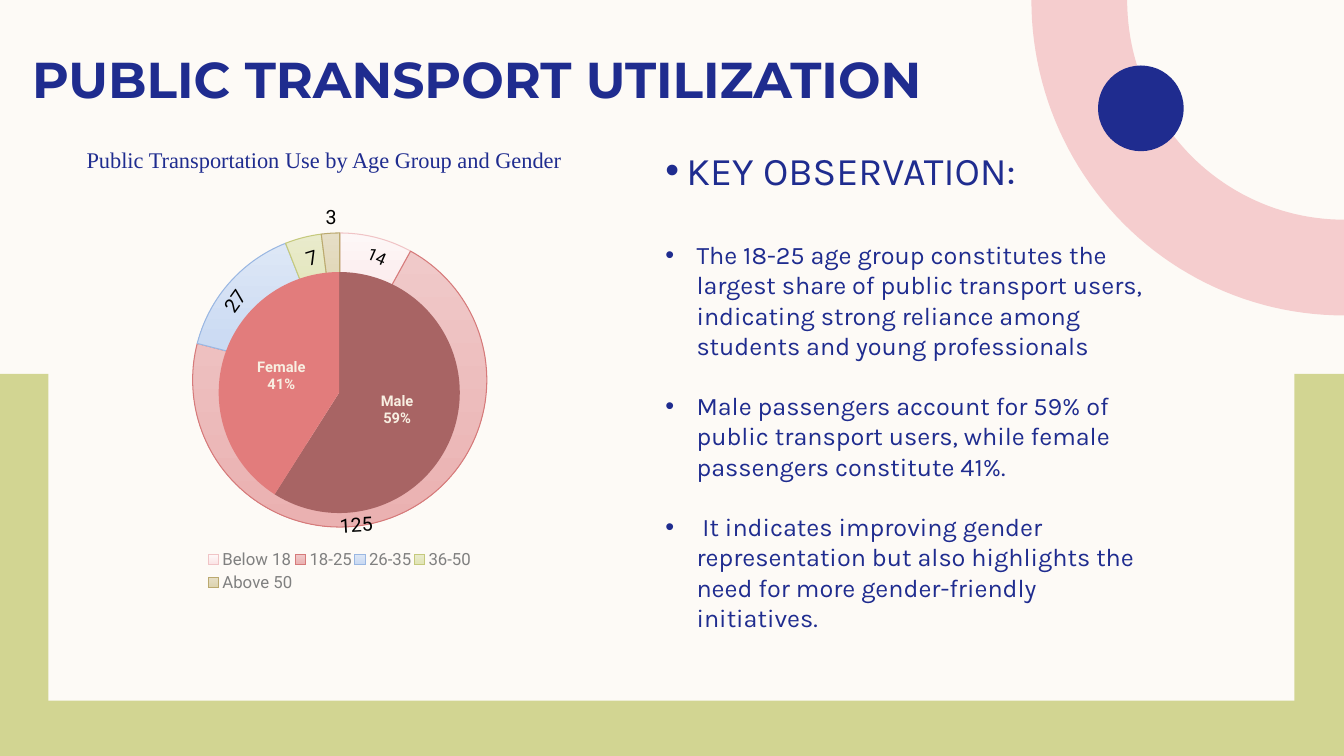
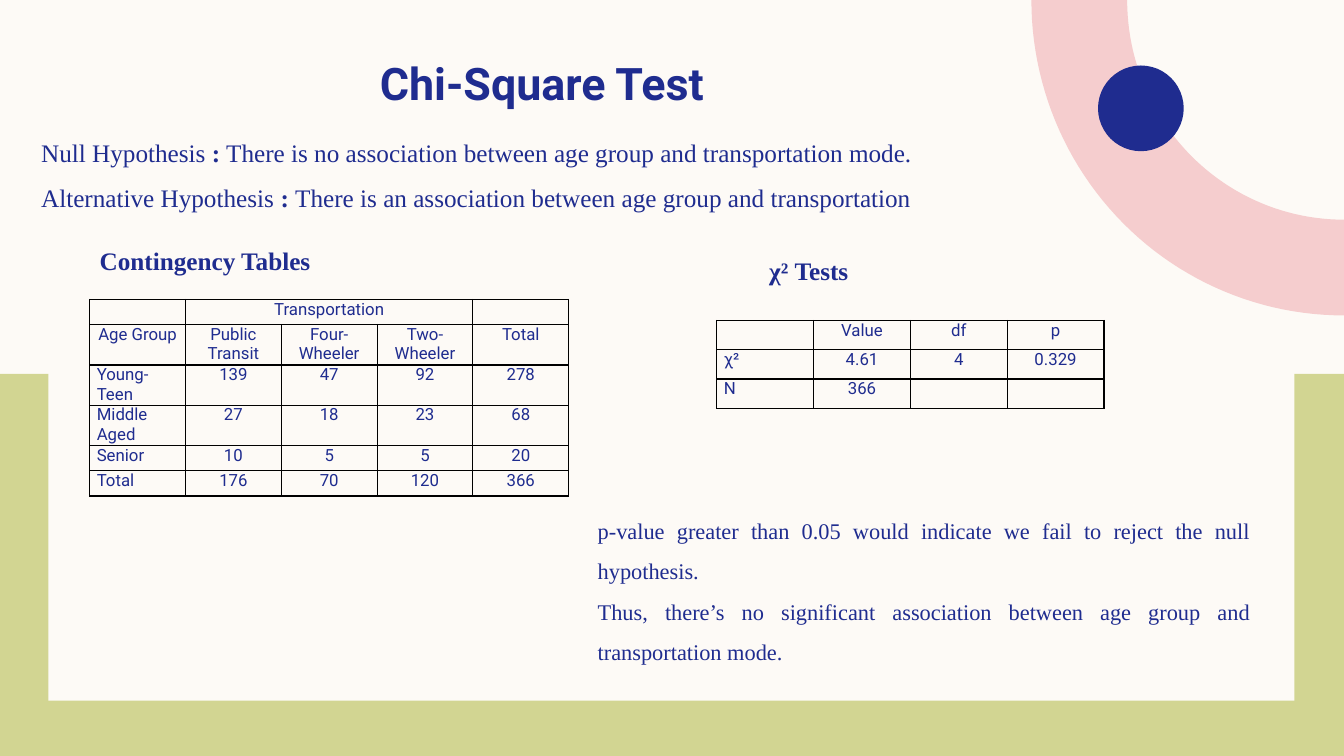
import math
from dataclasses import dataclass, field

import lxml.etree
import pptx
import pptx.chart.data
import pptx.dml.color
import pptx.enum.chart
import pptx.enum.shapes
import pptx.enum.text
import pptx.oxml
import pptx.oxml.ns
import pptx.util

Inches, Pt, qn = pptx.util.Inches, pptx.util.Pt, pptx.oxml.ns.qn
ALIGN = pptx.enum.text.PP_ALIGN
ANCHOR = pptx.enum.text.MSO_ANCHOR
SHAPE = pptx.enum.shapes.MSO_SHAPE
CHART = pptx.enum.chart.XL_CHART_TYPE

COLORS = {
    "paper": "FDFAF6", "olive": "D2D592", "pink": "F5CDCE", "navy": "1F2C8F",
    "black": "000000", "grey": "808080", "cream": "F8EFE2",
    "male": "A86464", "female": "E27C7C",
}
# Age group slices: gradient top, gradient bottom, outline
AGE_SLICES = [
    ("FDF7F7", "FBE5E6", "F0C4C6"), ("F0C9C9", "EAB1B1", "D67A7A"),
    ("DDE7F6", "C8D8F2", "9AB7E2"), ("E9EBCC", "E1E4B5", "C5C97C"),
    ("E6DEC6", "DDD3AE", "BBA96F"),
]
SERIF, SANS, BODY = "Times New Roman", "Roboto", "Karla"
WIDTH, HEIGHT = 13.33, 7.5


@dataclass
class Para:
    runs: list[tuple[str, bool]]          # text, bold
    size: float = 18
    font: str = SERIF
    color: str = "navy"
    bullet: float = 0                     # hanging indent in inches
    fmt: dict = field(default_factory=dict)


@dataclass
class Label:
    text: str
    left: float
    top: float
    width: float = 0.75
    height: float = 0.34
    rotation: float = 0
    size: float = 14


@dataclass
class Grid:
    left: float
    top: float
    col_width: float
    row_heights: list[float]
    rows: list[list[str]]
    header_rows: int = 1


def rgb(value: str) -> pptx.dml.color.RGBColor:
    return pptx.dml.color.RGBColor.from_string(COLORS.get(value, value))


def apply(target, values: dict) -> None:
    for name, value in values.items():
        setattr(target, name, value)


def style_font(font, size: float, name: str, color: str, bold: bool = False) -> None:
    apply(font, {"size": Pt(size), "name": name, "bold": bold})
    font.color.rgb = rgb(color)


def paint(sp, color: str) -> None:
    sp.shadow.inherit = False
    sp.fill.solid()
    sp.fill.fore_color.rgb = rgb(color)
    sp.line.fill.background()


def add_box(s, kind, left: float, top: float, width: float, height: float, color: str) -> None:
    paint(s.shapes.add_shape(kind, *map(Inches, (left, top, width, height))), color)


def add_text(s, left: float, top: float, width: float, height: float,
             paras: list[Para], wrap: bool = True, rotation: float = 0, **frame) -> None:
    sp = s.shapes.add_textbox(*map(Inches, (left, top, width, height)))
    sp.rotation = rotation
    tf = sp.text_frame
    apply(tf, {"word_wrap": wrap, **frame})
    for i, para in enumerate(paras):
        p = tf.add_paragraph() if i else tf.paragraphs[0]
        apply(p, para.fmt)
        if para.bullet:
            pr = p._p.get_or_add_pPr()
            pr.set("marL", str(Inches(para.bullet)))
            pr.set("indent", str(-Inches(para.bullet)))
            lxml.etree.SubElement(pr, qn("a:buFont")).set("typeface", "Arial")
            lxml.etree.SubElement(pr, qn("a:buChar")).set("char", "•")
        for text, bold in para.runs:
            r = p.add_run()
            r.text = text
            style_font(r.font, para.size, para.font, para.color, bold)


def add_slide(prs):
    """New slide with the paper, olive frame, pink ring and navy dot."""
    s = prs.slides.add_slide(prs.slide_layouts[6])
    s.background.fill.solid()
    s.background.fill.fore_color.rgb = rgb("paper")
    add_box(s, SHAPE.RECTANGLE, 0, 3.71, WIDTH, HEIGHT - 3.71, "olive")
    add_box(s, SHAPE.RECTANGLE, 0.48, 0.36, 12.36, 6.59, "paper")

    # Quarter ring around the top right corner
    steps = 48
    turns = [math.pi / 2 * i / steps for i in range(steps + 1)]
    arcs = [[(Inches(WIDTH - rx * math.cos(t)), Inches(ry * math.sin(t))) for t in turns]
            for rx, ry in ((3.1, 3.13), (2.15, 2.18))]
    points = arcs[0] + arcs[1][::-1]
    outline = s.shapes.build_freeform(*points[0])
    outline.add_line_segments(points[1:], close=True)
    paint(outline.convert_to_shape(), "pink")
    add_box(s, SHAPE.OVAL, 10.89, 0.65, 0.85, 0.85, "navy")
    return s


def set_layout(parent, index: int, inner: bool, x: float, y: float, w: float, h: float) -> None:
    """Fix the place of a plot area or legend, in fractions of the chart."""
    for old in parent.findall(qn("c:layout")):
        parent.remove(old)
    layout = lxml.etree.Element(qn("c:layout"))
    manual = lxml.etree.SubElement(layout, qn("c:manualLayout"))
    values = {"layoutTarget": "inner"} if inner else {}
    values |= {"xMode": "edge", "yMode": "edge", "x": x, "y": y, "w": w, "h": h}
    for name, value in values.items():
        lxml.etree.SubElement(manual, qn(f"c:{name}")).set("val", str(value))
    parent.insert(index, layout)


def add_round_chart(s, kind, box: tuple, plot_box: tuple, shares: dict):
    data = pptx.chart.data.CategoryChartData()
    data.categories = list(shares)
    data.add_series("Series 1", list(shares.values()))
    chart = s.shapes.add_chart(kind, *map(Inches, box), data).chart
    apply(chart, {"has_title": False, "has_legend": False})
    style_font(chart.font, 10, SANS, "black")
    chart.plots[0].vary_by_categories = True
    root = chart._chartSpace.find(qn("c:chart"))
    set_layout(root.find(qn("c:plotArea")), 0, True, *plot_box)
    clear = lxml.etree.Element(qn("c:spPr"))
    lxml.etree.SubElement(clear, qn("a:noFill"))
    lxml.etree.SubElement(lxml.etree.SubElement(clear, qn("a:ln")), qn("a:noFill"))
    root.addnext(clear)
    return chart


def add_age_chart(s) -> None:
    shares = {"Below 18": 8, "18-25": 71, "26-35": 15, "36-50": 4, "Above 50": 2}
    chart = add_round_chart(s, CHART.DOUGHNUT, (0.99, 2.16, 4.76, 3.79),
                            (0.19, 0.04, 0.62, 0.77), shares)
    chart._chartSpace.find(".//" + qn("c:holeSize")).set("val", "75")
    for i, (top, bottom, edge) in enumerate(AGE_SLICES):
        fmt = chart.plots[0].series[0].points[i].format
        fmt.fill.gradient()
        fmt.fill.gradient_angle = 270
        for stop, color in zip(fmt.fill.gradient_stops, (top, bottom)):
            stop.color.rgb = rgb(color)
        fmt.line.color.rgb = rgb(edge)
        fmt.line.width = Pt(0.75)
    chart.has_legend = True
    apply(chart.legend, {"position": pptx.enum.chart.XL_LEGEND_POSITION.BOTTOM,
                         "include_in_layout": False})
    style_font(chart.legend.font, 12, SANS, "grey")
    set_layout(chart.legend._element, 1, False, 0.22, 0.86, 0.56, 0.13)


def add_gender_chart(s) -> None:
    chart = add_round_chart(s, CHART.PIE, (1.87, 2.56, 2.99, 2.67),
                            (0.1, 0.05, 0.8, 0.9), {"Male": 59, "Female": 41})
    plot = chart.plots[0]
    for i, color in enumerate(("male", "female")):
        fmt = plot.series[0].points[i].format
        fmt.fill.solid()
        fmt.fill.fore_color.rgb = rgb(color)
        fmt.line.fill.background()
    plot.has_data_labels = True
    labels = plot.data_labels
    apply(labels, {"show_percentage": True, "show_category_name": True, "show_value": False,
                   "number_format": "0%", "number_format_is_linked": False,
                   "position": pptx.enum.chart.XL_LABEL_POSITION.CENTER})
    style_font(labels.font, 10.5, SANS, "cream", True)
    separator = lxml.etree.Element(qn("c:separator"))
    separator.text = "\n"
    (labels._element.find(qn("c:showBubbleSize"))
     if labels._element.find(qn("c:showBubbleSize")) is not None
     else labels._element.find(qn("c:showPercent"))).addnext(separator)


def add_border(cell) -> None:
    pr = cell._tc.get_or_add_tcPr()
    for i, side in enumerate(("lnL", "lnR", "lnT", "lnB")):
        ln = lxml.etree.Element(qn(f"a:{side}"))
        ln.set("w", str(Pt(1)))
        fill = lxml.etree.SubElement(ln, qn("a:solidFill"))
        lxml.etree.SubElement(fill, qn("a:srgbClr")).set("val", COLORS["black"])
        pr.insert(i, ln)


def add_grid(s, grid: Grid):
    n_cols = len(grid.rows[0])
    size = (grid.col_width * n_cols, sum(grid.row_heights))
    table = s.shapes.add_table(len(grid.rows), n_cols,
                               *map(Inches, (grid.left, grid.top, *size))).table
    apply(table, {"first_row": False, "horz_banding": False})
    for col in table.columns:
        col.width = Inches(grid.col_width)
    for i, (height, row) in enumerate(zip(grid.row_heights, grid.rows)):
        table.rows[i].height = Inches(height)
        for j, text in enumerate(row):
            cell = table.cell(i, j)
            apply(cell, {"margin_left": Inches(0.07), "margin_right": Inches(0.07),
                         "margin_top": 0, "margin_bottom": 0})
            cell.fill.background()
            add_border(cell)
            p = cell.text_frame.paragraphs[0]
            p.alignment = ALIGN.CENTER if j or i < grid.header_rows else ALIGN.LEFT
            if text:
                r = p.add_run()
                r.text = text
                style_font(r.font, 12, SANS, "navy")
            else:
                lxml.etree.SubElement(p._p, qn("a:endParaRPr")).set("sz", "1200")
    return table


def build_utilization(prs) -> None:
    s = add_slide(prs)
    add_text(s, 0.22, -0.19, 9.99, 1.93,
             [Para([("PUBLIC TRANSPORT UTILIZATION", True)], 36, "Montserrat")],
             vertical_anchor=ANCHOR.MIDDLE, margin_top=0, margin_bottom=0)

    # Age ring with the gender pie on top
    add_age_chart(s)
    add_gender_chart(s)
    add_text(s, 0.76, 1.4, 5.12, 0.52,
             [Para([("Public Transportation Use by Age Group and Gender", False)], 16)])
    for label in (
        Label("125", 3.27, 5.03, rotation=356.7),
        Label("27", 2.05, 2.68, rotation=305.4),
        Label("14", 3.54, 2.44, 0.6, 0.3, 23.7, 12),
        Label("3", 3.13, 1.98),
        Label("7", 2.93, 2.32, rotation=343),
    ):
        add_text(s, label.left, label.top, label.width, label.height,
                 [Para([(label.text, False)], label.size, SANS, "black")],
                 rotation=label.rotation)

    # Observations
    notes = [
        "The 18-25 age group constitutes the largest share of public transport users, "
        "indicating strong reliance among students and young professionals",
        "Male passengers account for 59% of public transport users, "
        "while female passengers constitute 41%.",
        " It indicates improving gender representation but also highlights the need "
        "for more gender-friendly initiatives.",
    ]
    paras = [Para([("KEY OBSERVATION:", False)], 28, BODY, bullet=0.21)]
    paras += [Para([(note, False)], 18, BODY, bullet=0.31,
                   fmt={"space_before": Pt(21.6 if i else 33)})
              for i, note in enumerate(notes)]
    add_text(s, 6.5, 1.4, 5.12, 4.98, paras)


def build_chi_square(prs) -> None:
    s = add_slide(prs)
    loose = {"line_spacing": 1.5}
    justified = loose | {"alignment": ALIGN.JUSTIFY}

    # Title and hypotheses
    add_text(s, 2.04, 0.37, 6.78, 0.9,
             [Para([("Chi-Square Test ", True)], 32, SANS, fmt={"alignment": ALIGN.CENTER})],
             vertical_anchor=ANCHOR.MIDDLE)
    add_text(s, 0.31, 1.16, 9.4, 1.01, [
        Para([("Null Hypothesis ", False), (":", True),
              (" There is no association between age group and transportation mode.", False)],
             fmt=justified),
        Para([("Alternative Hypothesis ", False), (": ", True),
              ("There is an association between age group and transportation", False)],
             fmt=loose),
    ])

    # Tables with their headings
    add_text(s, 0.89, 2.23, 2.31, 0.5, [Para([("Contingency Tables", True)], fmt=justified)],
             wrap=False)
    table = add_grid(s, Grid(0.89, 2.97, 0.95, [0.25, 0.38, 0.38, 0.38, 0.25, 0.25], [
        ["", "Transportation", "", "", ""],
        ["Age Group", "Public Transit", "Four-Wheeler", "Two-Wheeler", "Total"],
        ["Young-Teen", "139", "47", "92", "278"],
        ["Middle Aged", "27", "18", "23", "68"],
        ["Senior", "10", "5", "5", "20"],
        ["Total", "176", "70", "120", "366"],
    ], header_rows=2))
    table.cell(0, 1).merge(table.cell(0, 3))
    add_text(s, 7.53, 2.48, 0.99, 0.4, [Para([("χ² Tests", True)])], wrap=False)
    add_grid(s, Grid(7.11, 3.18, 0.96, [0.29] * 3, [
        ["", "Value", "df", "p"],
        ["χ²", "4.61", "4", "0.329"],
        ["N", "366", "", ""],
    ]))

    # Conclusion
    conclusion = [
        "p-value greater than 0.05 would indicate we fail to reject the null hypothesis.",
        "Thus, there’s no significant association between age group and transportation mode.",
    ]
    add_text(s, 5.83, 4.95, 6.67, 1.67,
             [Para([(line, False)], 16, fmt=justified) for line in conclusion])


def main() -> None:
    prs = pptx.Presentation()
    apply(prs, {"slide_width": Inches(WIDTH), "slide_height": Inches(HEIGHT)})
    build_utilization(prs)
    build_chi_square(prs)
    prs.save("out.pptx")


if __name__ == "__main__":
    main()
